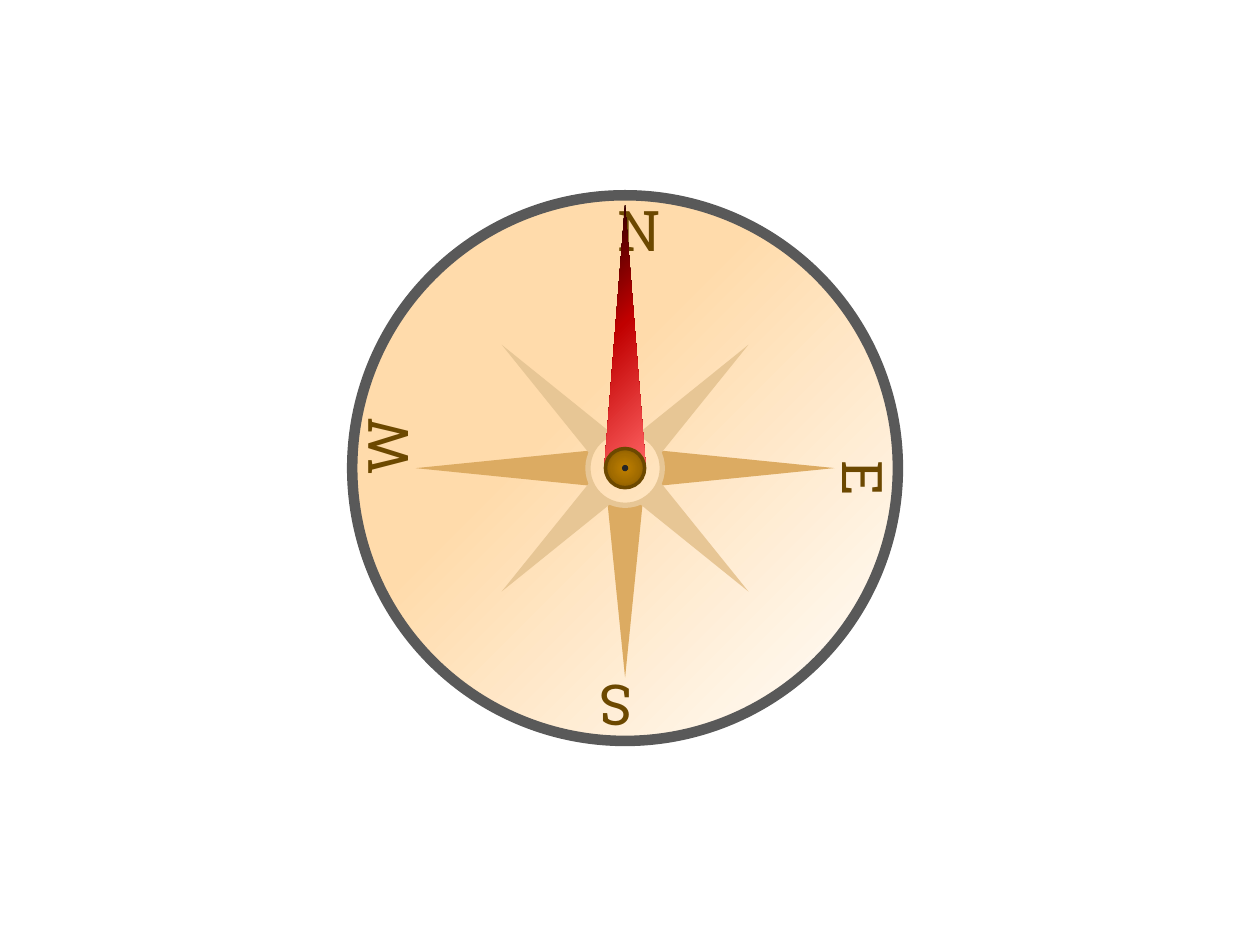
from math import cos, radians, sin

from pptx import Presentation
from pptx.dml.color import RGBColor
from pptx.enum.shapes import MSO_SHAPE
from pptx.enum.text import MSO_AUTO_SIZE, PP_ALIGN
from pptx.oxml import parse_xml
from pptx.oxml.ns import nsdecls
from pptx.util import Pt

OVAL = MSO_SHAPE.OVAL
TRIANGLE = MSO_SHAPE.ISOSCELES_TRIANGLE
GROW = MSO_AUTO_SIZE.SHAPE_TO_FIT_TEXT
CENTERED = PP_ALIGN.CENTER

COLORS = {
    "rim": "595959", "brown": "6C4800", "gold": "DCAB62",
    "sand": "E7C695", "pin": "262626",
}
LINEAR = '<a:lin ang="2700000" scaled="0"/>'
RADIAL = ('<a:path path="circle"><a:fillToRect l="50000" t="50000" '
          'r="50000" b="50000"/></a:path>')
GRADIENTS = {
    "dial": ([(0, "FFDBAB"), (39, "FFDBAB"), (100, "FFFFFF")], LINEAR),
    "needle": ([(0, "240000"), (45, "C00000"), (100, "FF6363")], LINEAR),
    "cap": ([(0, "C08000"), (50, "A26C00"), (100, "724C00")], RADIAL),
}

# Compass letters and their bearings in degrees
LETTERS = [("N", 0), ("S", 180), ("W", 270), ("E", 90)]
LETTER_BOX = (22.3, 46)
LETTER_RADIUS = 136.6
LETTER_FORMAT = {"name": "Roboto Slab", "size": Pt(32)}

# Rose points: bearings, width, length, distance from center, fill
CARDINALS = ([0, 180, 270, 90], 20, 99.4, 70, "gold")
DIAGONALS = ([315, 45, 225, 135], 17, 79.2, 60.1, "sand")

CENTER_X, CENTER_Y = 357.2, 267.5

presentation = Presentation()
presentation.slide_width, presentation.slide_height = Pt(720), Pt(540)
slide = presentation.slides.add_slide(presentation.slide_layouts[6])


def place(width, height, bearing=0, distance=0):
    """Return left, top, width, height of a box set out from the center."""
    angle = radians(bearing)
    left = CENTER_X + distance * sin(angle) - width / 2
    top = CENTER_Y - distance * cos(angle) - height / 2
    return [Pt(value) for value in (left, top, width, height)]


def set_gradient(shape, name):
    stops, direction = GRADIENTS[name]
    stop_xml = "".join(
        f'<a:gs pos="{position * 1000}"><a:srgbClr val="{color}"/></a:gs>'
        for position, color in stops)
    shape.fill.solid()
    properties = shape._element.spPr
    properties.replace(
        properties.find("{*}solidFill"),
        parse_xml(f'<a:gradFill {nsdecls("a")} rotWithShape="1">'
                  f'<a:gsLst>{stop_xml}</a:gsLst>{direction}</a:gradFill>'))


def add_part(kind, width, height, fill=None, line=None, bearing=0, distance=0):
    shape = slide.shapes.add_shape(kind, *place(width, height, bearing, distance))
    shape.rotation = bearing
    shape.shadow.inherit = False
    if fill in GRADIENTS:
        set_gradient(shape, fill)
    elif fill:
        shape.fill.solid()
        shape.fill.fore_color.rgb = RGBColor.from_string(COLORS[fill])
    else:
        shape.fill.background()
    if line:
        color, weight = line
        shape.line.color.rgb = RGBColor.from_string(COLORS[color])
        shape.line.width = Pt(weight)
    else:
        shape.line.fill.background()


def add_letter(letter, bearing):
    box = slide.shapes.add_textbox(*place(*LETTER_BOX, bearing, LETTER_RADIUS))
    box.rotation = bearing
    frame = box.text_frame
    frame.word_wrap = True
    frame.auto_size = GROW
    paragraph = frame.paragraphs[0]
    paragraph.alignment = CENTERED
    run = paragraph.add_run()
    run.text = letter
    for attribute, value in LETTER_FORMAT.items():
        setattr(run.font, attribute, value)
    run.font.color.rgb = RGBColor.from_string(COLORS["brown"])


def add_points(bearings, width, length, distance, fill):
    for bearing in bearings:
        add_part(TRIANGLE, width, length, fill, bearing=bearing, distance=distance)


# Dial and letters
add_part(OVAL, 311.8, 311.8, "dial", ("rim", 6))
for letter, bearing in LETTERS:
    add_letter(letter, bearing)

# Rose and its ring
add_points(*CARDINALS)
add_part(OVAL, 42.5, 42.5, line=("sand", 3))
add_points(*DIAGONALS)

# Needle, cap and pin
add_part(TRIANGLE, 23.8, 150.5, "needle", distance=75)
add_part(OVAL, 22.4, 22.4, "cap", ("brown", 2))
add_part(OVAL, 3.6, 3.6, "pin")

presentation.save("out.pptx")
